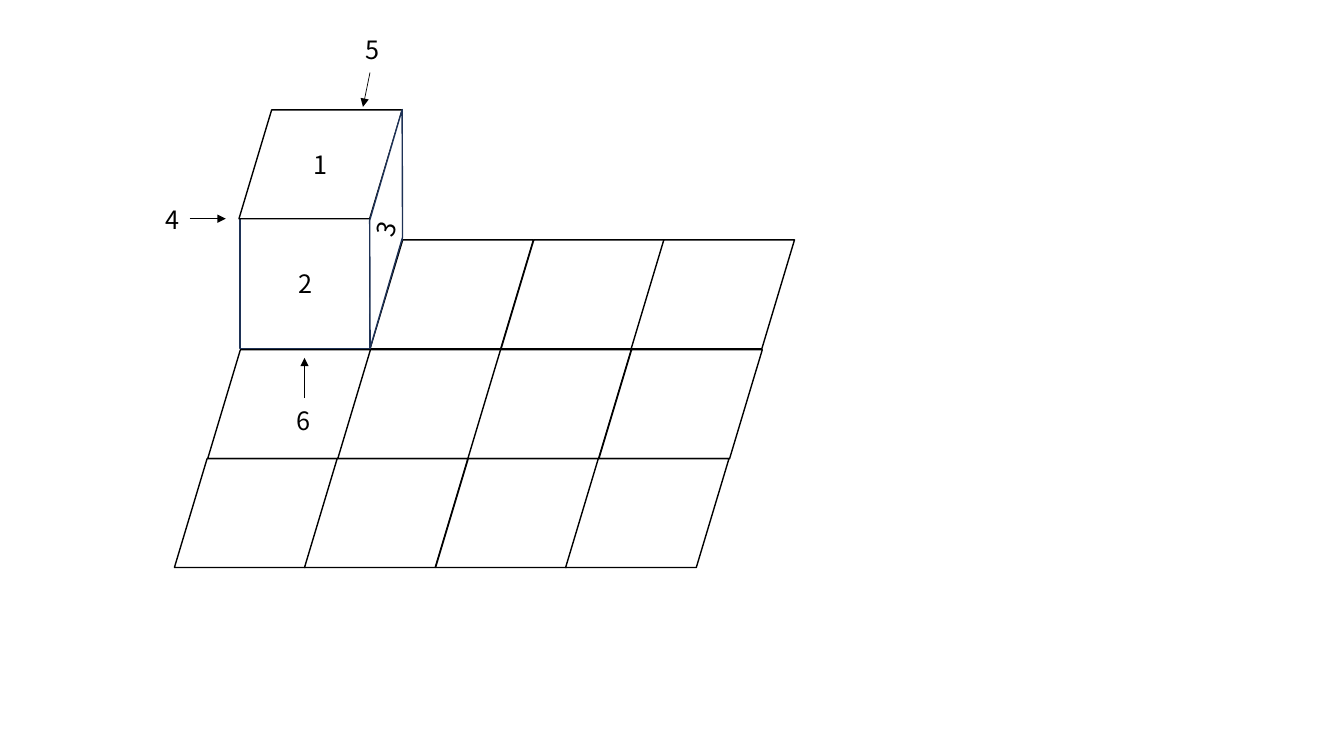
from lxml.etree import SubElement
from pptx import Presentation
from pptx.dml.color import RGBColor
from pptx.enum.shapes import MSO_CONNECTOR, MSO_SHAPE
from pptx.enum.text import MSO_ANCHOR, MSO_AUTO_SIZE, PP_ALIGN
from pptx.oxml.ns import qn
from pptx.util import Pt

PX = 9144
FONT = "Noto Sans CJK SC"
COLORS = {"paper": "FFFFFF", "ink": "000000", "navy": "1E3256"}
RGB = {name: RGBColor.from_string(value) for name, value in COLORS.items()}

prs = Presentation()
prs.slide_width, prs.slide_height = 1333 * PX, 750 * PX
shapes = prs.slides.add_slide(prs.slide_layouts[6]).shapes


def write(tf, text, align):
    p = tf.paragraphs[0]
    p.text = text
    p.alignment = align
    p.font.size = Pt(18)
    p.font.name = FONT
    p.font.color.rgb = RGB["ink"]


def add_face(kind, box, color, text=""):
    sp = shapes.add_shape(kind, *(v * PX for v in box))
    sp.shadow.inherit = False
    sp.fill.solid()
    sp.fill.fore_color.rgb = RGB["paper"]
    sp.line.color.rgb = RGB[color]
    sp.line.width = Pt(1)
    if text:
        sp.text_frame.vertical_anchor = MSO_ANCHOR.MIDDLE
        write(sp.text_frame, text, PP_ALIGN.CENTER)
    return sp


for col in range(4):
    for row in range(3):
        if (col, row) == (0, 0):
            continue
        x = round(238 + col * 129.3 - row * 32.4)
        y = round(238 + row * 108.6)
        add_face(MSO_SHAPE.FLOWCHART_DATA, (x, y, 162, 108), "ink")

add_face(MSO_SHAPE.RECTANGLE, (270, 109, 129, 129), "navy")
add_face(MSO_SHAPE.RECTANGLE, (238, 217, 129, 129), "navy", "2")
add_face(MSO_SHAPE.FLOWCHART_DATA, (237, 109, 162, 108), "ink", "1")
side = add_face(MSO_SHAPE.PARALLELOGRAM, (265, 209, 236, 36), "navy", "3")
side.adjustments[0] = 3.375
side.rotation = 286.3

labels = [
    ("4", (154, 198), (188, 217, 224, 217)),
    ("5", (353, 29), (367, 72, 360, 106)),
    ("6", (284, 397), (302, 395, 302, 355)),
]
for text, (x, y), ends in labels:
    arrow = shapes.add_connector(MSO_CONNECTOR.STRAIGHT, *(v * PX for v in ends))
    arrow.line.color.rgb = RGB["ink"]
    arrow.line.width = Pt(0.5)
    SubElement(arrow.line._get_or_add_ln(), qn("a:tailEnd"), type="triangle")
    SubElement(arrow._element.spPr, qn("a:effectLst"))

    tf = shapes.add_textbox(x * PX, y * PX, 34 * PX, 40 * PX).text_frame
    tf.word_wrap = True
    tf.auto_size = MSO_AUTO_SIZE.SHAPE_TO_FIT_TEXT
    write(tf, text, PP_ALIGN.LEFT)

prs.save("out.pptx")
